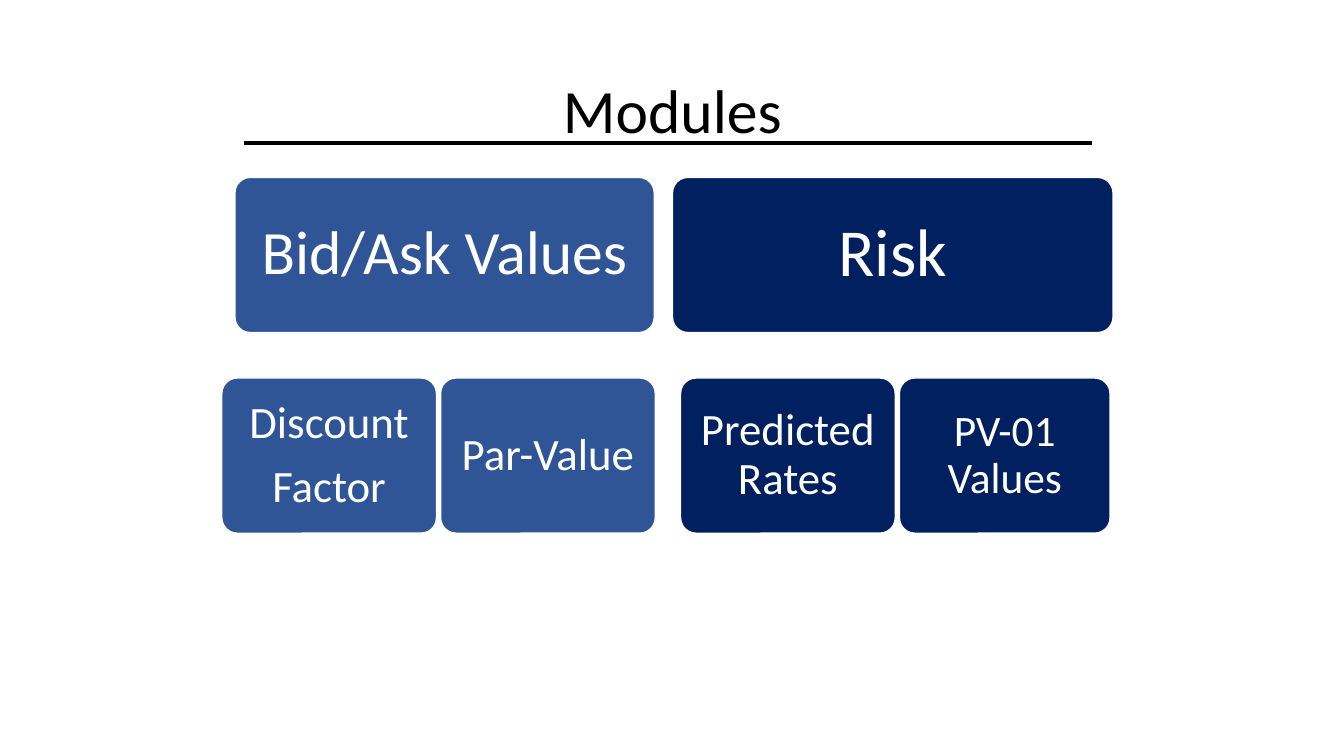
"""Build the Modules slide: two module cards, each above its two parts."""
from pptx import Presentation
from pptx.dml.color import RGBColor
from pptx.enum.shapes import MSO_CONNECTOR, MSO_SHAPE
from pptx.enum.text import MSO_ANCHOR, PP_ALIGN
from pptx.oxml.ns import qn
from pptx.util import Inches, Pt

ROUNDED = MSO_SHAPE.ROUNDED_RECTANGLE
STRAIGHT = MSO_CONNECTOR.STRAIGHT
MIDDLE = MSO_ANCHOR.MIDDLE
CENTER = PP_ALIGN.CENTER

BLUE = RGBColor(0x2F, 0x55, 0x97)
NAVY = RGBColor(0x00, 0x20, 0x60)
WHITE = RGBColor(0xFF, 0xFF, 0xFF)
BLACK = RGBColor(0x00, 0x00, 0x00)
FONT = "Calibri"

TITLE = "Modules"
MODULE_TOP, PART_TOP, CARD_HEIGHT = 1.76, 3.75, 1.54
PART_GAP = 0.04

# Each card: lines of text, width, font size, inset
MODULES = [
    {"color": BLUE, "left": 2.33, "card": (["Bid/Ask Values"], 4.16, 44, 0.18),
     "parts_left": 2.2,
     "parts": [(["Discount", "Factor"], 2.13, 32, 0.13),
               (["Par-Value"], 2.13, 32, 0.13)]},
    {"color": NAVY, "left": 6.67, "card": (["Risk"], 4.37, 48, 0.2),
     "parts_left": 6.75,
     "parts": [(["Predicted Rates"], 2.13, 32, 0.13),
               (["PV-01 Values"], 2.09, 31, 0.13)]},
]


def write_text(shape, lines, size, color, inset, space_after=0):
    """Fill a shape with centred paragraphs."""
    frame = shape.text_frame
    frame.word_wrap = True
    frame.vertical_anchor = MIDDLE
    frame.margin_left = frame.margin_right = Inches(inset)
    frame.margin_top = frame.margin_bottom = Inches(inset)
    frame.text = "\n".join(lines)
    for para in frame.paragraphs:
        para.alignment = CENTER
        para.line_spacing = 0.9
        para.space_after = Pt(space_after)
        para.font.name = FONT
        para.font.size = Pt(size)
        para.font.color.rgb = color


def add_card(page, left, top, color, card):
    """Add one rounded card with its label."""
    lines, width, size, inset = card
    shape = page.shapes.add_shape(
        ROUNDED, Inches(left), Inches(top), Inches(width), Inches(CARD_HEIGHT))
    shape.adjustments[0] = 0.1
    shape.shadow.inherit = False
    shape.fill.solid()
    shape.fill.fore_color.rgb = color
    shape.line.color.rgb = WHITE
    shape.line.width = Pt(1)
    write_text(shape, lines, size, WHITE, inset, round(size * 0.35))


deck = Presentation()
deck.slide_width, deck.slide_height = Inches(13.33), Inches(7.5)
page = deck.slides.add_slide(deck.slide_layouts[6])

title = page.shapes.add_textbox(Inches(0.92), Inches(0.4), Inches(11.5), Inches(1.45))
write_text(title, [TITLE], 44, BLACK, 0.05)

for module in MODULES:
    add_card(page, module["left"], MODULE_TOP, module["color"], module["card"])
    left = module["parts_left"]
    for part in module["parts"]:
        add_card(page, left, PART_TOP, module["color"], part)
        left += part[1] + PART_GAP

rule = page.shapes.add_connector(
    STRAIGHT, Inches(2.42), Inches(1.42), Inches(10.83), Inches(1.42))
rule.line.color.rgb = BLACK
rule.line.width = Pt(2.75)
properties = rule._element.spPr
properties.append(properties.makeelement(qn("a:effectLst"), {}))

deck.save("out.pptx")
